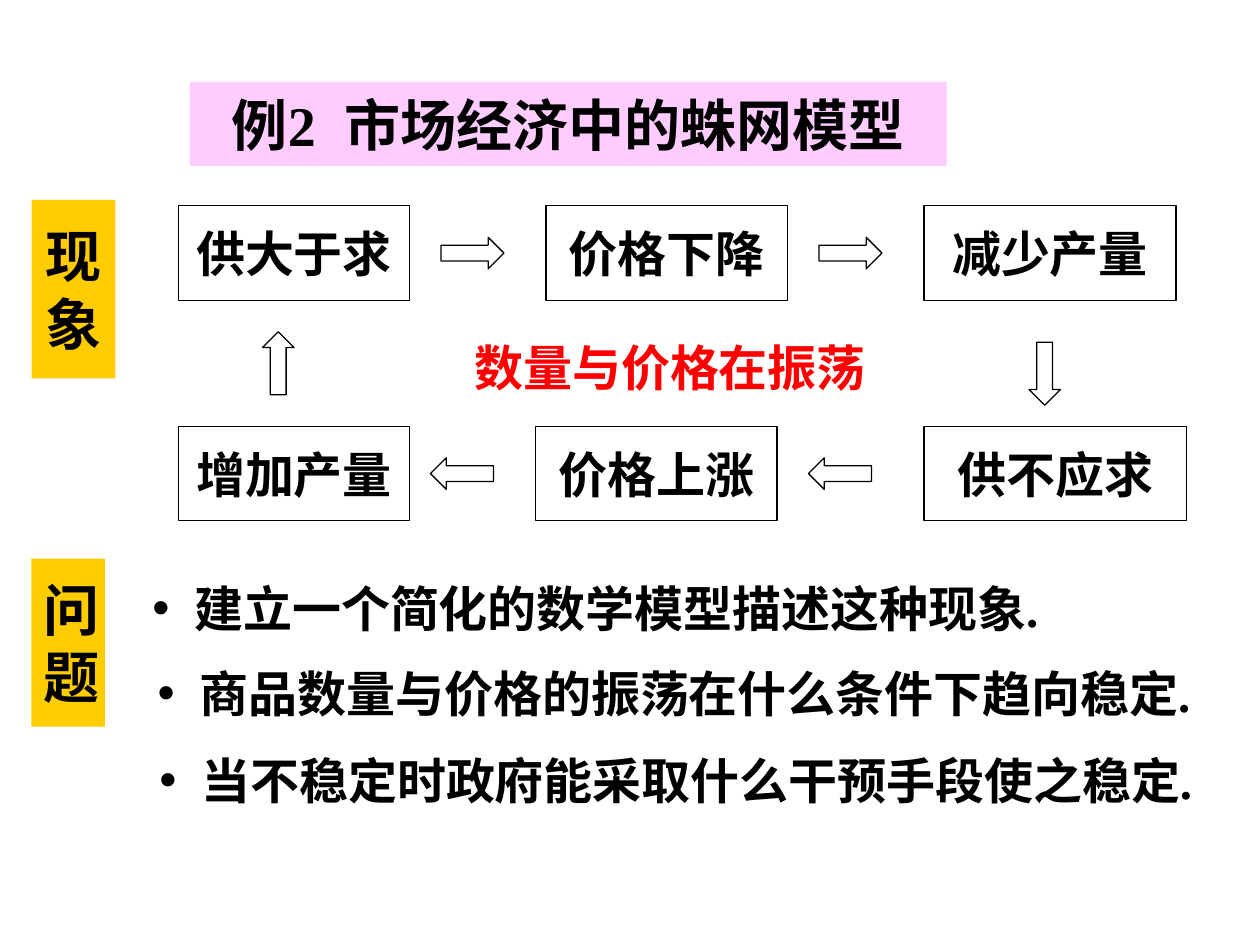
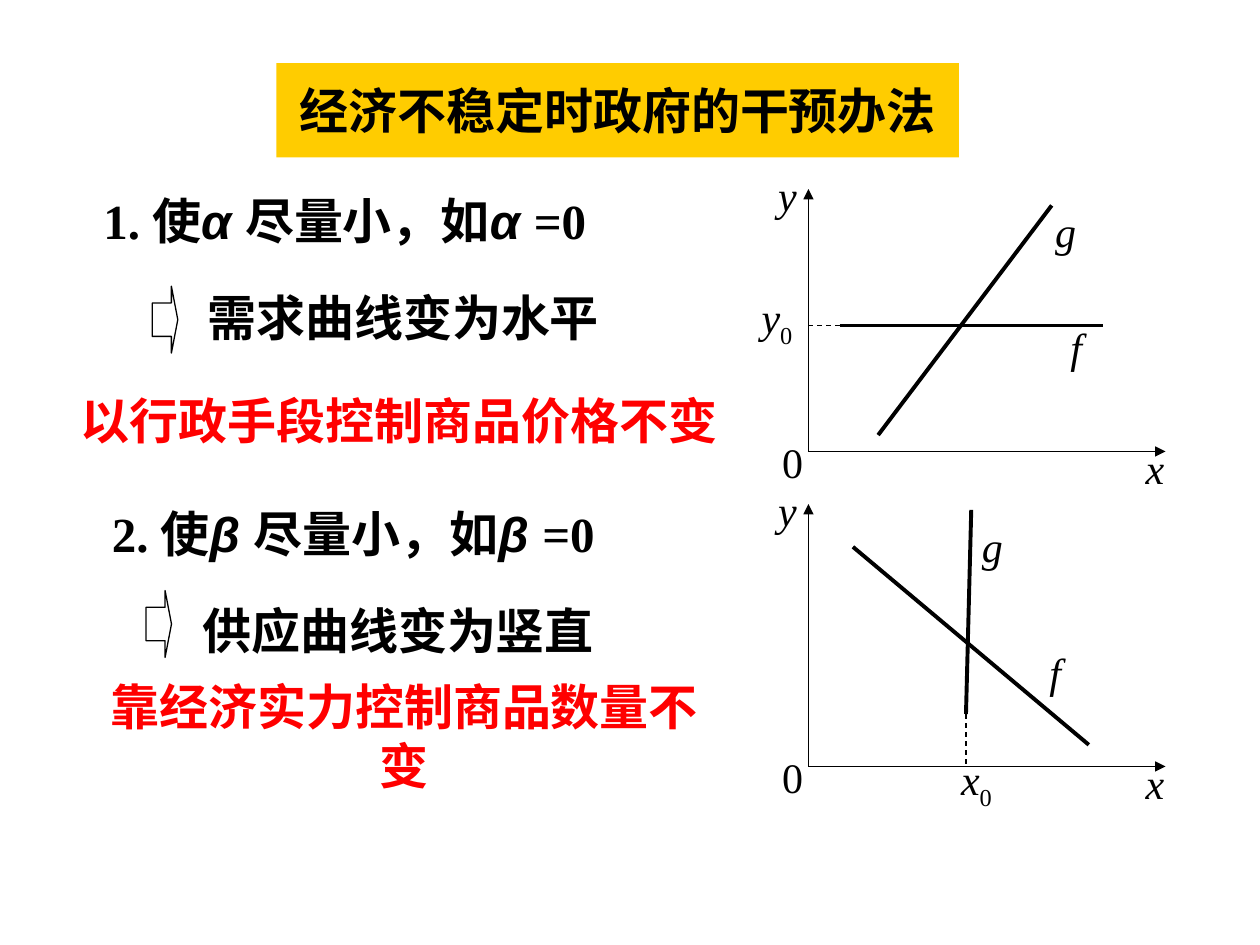
from lxml import etree
from pptx import Presentation
from pptx import util as u
from pptx.dml.color import RGBColor
from pptx.enum import dml, shapes, text
from pptx.oxml import ns

Pt = u.Pt
rgb = RGBColor.from_string
BLACK, RED, GOLD, PINK = "000000", "FF0000", "FFCC00", "FFCCFF"
SERIF, SANS, HAN = "Times New Roman", "Arial", "Noto Sans CJK SC"
MID, LEFT = text.PP_ALIGN.CENTER, text.PP_ALIGN.LEFT
KIND = shapes.MSO_SHAPE


def put(page, at, lines=(), kind=None, fill=None, edge=False, size=28, color=BLACK,
        bold=True, slant=False, align=MID, wrap=False, top=False, dot=False):
    at = [Pt(n) for n in at]
    if kind is None:
        box = page.shapes.add_textbox(*at)
    else:
        box = page.shapes.add_shape(kind, *at)
        box.shadow.inherit = False
        if fill:
            box.fill.solid()
            box.fill.fore_color.rgb = rgb(fill)
        else:
            box.fill.background()
        if edge:
            box.line.color.rgb = rgb(BLACK)
            box.line.width = Pt(0.75)
        else:
            box.line.fill.background()
    frame = box.text_frame
    frame.word_wrap = wrap
    frame.vertical_anchor = text.MSO_ANCHOR.TOP if top else text.MSO_ANCHOR.MIDDLE
    for i, line in enumerate(lines):
        para = frame.add_paragraph() if i else frame.paragraphs[0]
        para.alignment = align
        if dot:
            props = para._p.get_or_add_pPr()
            props.set("marL", str(Pt(24)))
            props.set("indent", str(-Pt(24)))
            etree.SubElement(props, ns.qn("a:buFont")).set("typeface", SANS)
            etree.SubElement(props, ns.qn("a:buChar")).set("char", "•")
        font = para.font
        font.size, font.bold, font.color.rgb = Pt(size), bold, rgb(color)
        if isinstance(line, str):
            font.name, font.italic = SERIF, slant
            para.add_run().text = line
        else:
            for word, face, lean, base in line:
                run = para.add_run()
                run.text = word
                run.font.name, run.font.italic = face, lean
                if base:
                    run._r.get_or_add_rPr().set("baseline", str(base))
    return box


def link(page, x1, y1, x2, y2, width=0.75, tip=None, dash=False):
    line = page.shapes.add_connector(
        shapes.MSO_CONNECTOR.STRAIGHT, Pt(x1), Pt(y1), Pt(x2), Pt(y2))
    line.line.color.rgb = rgb(BLACK)
    line.line.width = Pt(width)
    if dash:
        line.line.dash_style = dml.MSO_LINE.DASH
    if tip:
        stroke = line.line._get_or_add_ln()
        etree.SubElement(stroke, ns.qn("a:" + tip)).set("type", "triangle")
    etree.SubElement(line._element.spPr, ns.qn("a:effectLst"))


deck = Presentation()
deck.slide_width, deck.slide_height = Pt(720), Pt(540)
blank = deck.slide_layouts[6]

page = deck.slides.add_slide(blank)
put(page, (108.5, 46.8, 432.5, 48), ["例2  市场经济中的蛛网模型"], KIND.RECTANGLE, PINK, size=32)
put(page, (18, 114.3, 48, 102), "现象", KIND.RECTANGLE, GOLD, size=32)
put(page, (18, 319.2, 42, 96), "问题", KIND.RECTANGLE, GOLD, size=32, align=LEFT)

steps = [
    (102, 117.6, 132, "供大于求"), (312, 117.6, 138, "价格下降"), (528, 117.6, 144, "减少产量"),
    (102, 243.6, 132, "增加产量"), (306, 243.6, 138, "价格上涨"), (528, 243.6, 150, "供不应求"),
]
for x, y, w, word in steps:
    put(page, (x, y, w, 54), [word], KIND.RECTANGLE, edge=True)

arrows = [
    (252, 135.6, 36, 18, KIND.RIGHT_ARROW), (468, 135.6, 36, 18, KIND.RIGHT_ARROW),
    (246, 261.6, 36, 18, KIND.LEFT_ARROW), (462, 261.6, 36, 18, KIND.LEFT_ARROW),
    (150, 189.6, 18, 36, KIND.UP_ARROW), (588, 195.6, 18, 36, KIND.DOWN_ARROW),
]
for *at, kind in arrows:
    put(page, at, kind=kind, edge=True)

put(page, (264, 189.4, 246, 41), ["数量与价格在振荡"], color=RED, align=LEFT, wrap=True, top=True)
tasks = [
    (80, 323.3, 535, 48, "建立一个简化的数学模型描述这种现象."),
    (83, 372, 630, 48, "商品数量与价格的振荡在什么条件下趋向稳定."),
    (84, 421.5, 630, 48, "当不稳定时政府能采取什么干预手段使之稳定."),
]
for *at, task in tasks:
    put(page, at, [task], align=LEFT, wrap=True, dot=True)

page = deck.slides.add_slide(blank)
put(page, (158, 36, 390, 54), ["经济不稳定时政府的干预办法"], KIND.RECTANGLE, GOLD)

cases = [
    ("1. 使", "α ", (34, 103.6, 326, 44)),
    ("2. 使", "β ", (26.6, 281, 350.6, 47.5)),
]
for lead, sign, at in cases:
    put(page, at, [[
        (lead, SERIF, False, 0), (sign, SANS, True, 0), ("尽量小，如", SERIF, False, 0),
        (sign, SANS, True, 0), ("=0", SERIF, False, 0)]])

notes = [
    (104.4, 157, 252, 48, "需求曲线变为水平", BLACK),
    (36, 216, 384, 48, "以行政手段控制商品价格不变", RED),
    (105, 336.2, 245, 48, "供应曲线变为竖直", BLACK),
    (48, 396, 366, 48, "靠经济实力控制商品数量不变", RED),
]
for *at, note, color in notes:
    put(page, at, [note], color=color)

for x, y in [(87, 163.6), (83.4, 337.5)]:
    arrow = put(page, (x, y, 14.6, 38.2), kind=KIND.RIGHT_ARROW, edge=True)
    arrow.adjustments[1] = 0.25

for y in (108, 288):
    link(page, 462, y, 462, y + 150, tip="headEnd")
    link(page, 462, y + 150, 666, y + 150, tip="tailEnd")
    put(page, (642, y + 144, 36, 30), ["x"], size=24, bold=False, slant=True)
    put(page, (432, y - 12, 36, 30), ["y"], size=24, bold=False, slant=True)
    put(page, (432, y + 138, 42, 36), ["0"], size=24, bold=False)

curves = [
    (480, 186, 630, 186), (501.8, 248.6, 601, 117.4),
    (555, 291.4, 552, 408), (487.4, 312.5, 622.2, 425.6),
]
for ends in curves:
    link(page, *ends, width=2.25)
link(page, 480, 186, 462, 186, dash=True)
link(page, 552, 408, 552, 438, dash=True)

for x, y, name in [(588, 114, "g"), (594, 180, "f"), (546, 294, "g"), (582, 366, "f")]:
    put(page, (x, y, 42, 36), [name], size=24, bold=False, slant=True)
for x, y, name in [(426, 168, "y"), (540, 432, "x")]:
    put(page, (x, y, 36, 30), [[(name, SERIF, True, 0), ("0", SERIF, False, -25000)]],
        size=24, bold=False)

deck.save("out.pptx")
